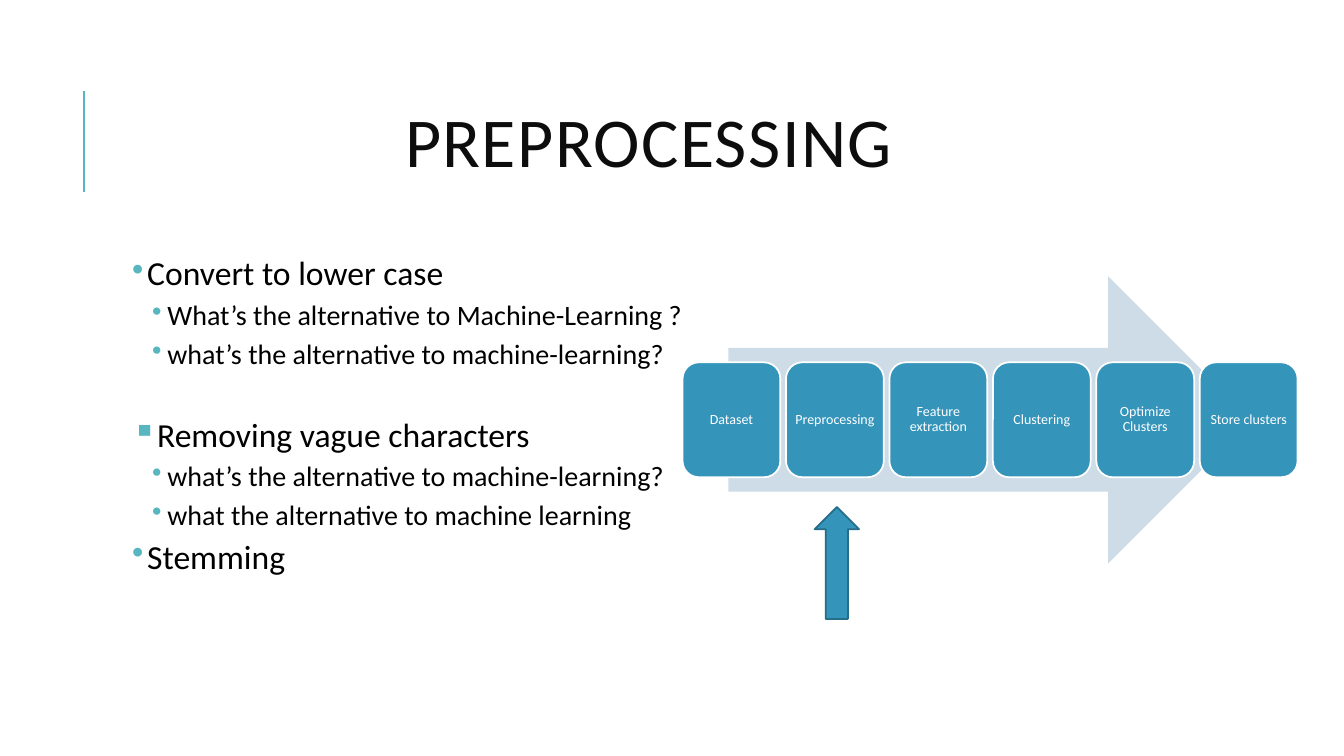
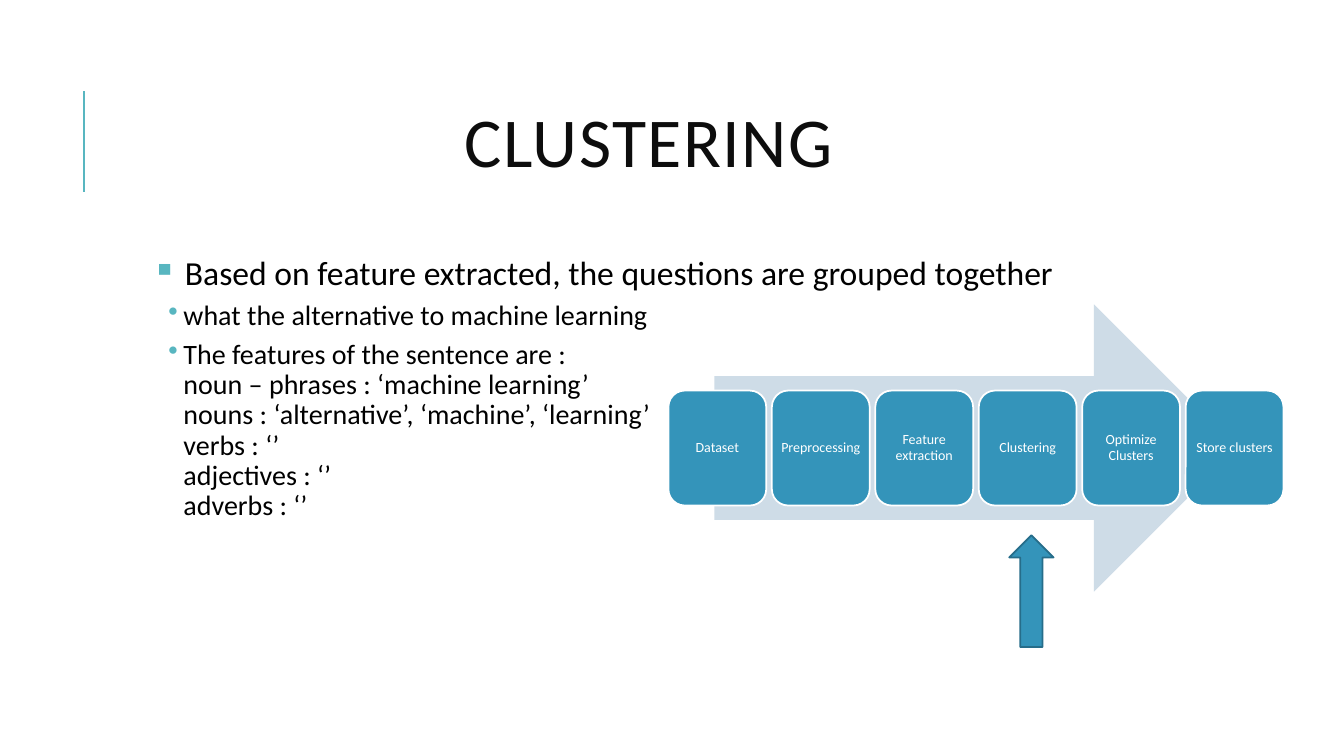
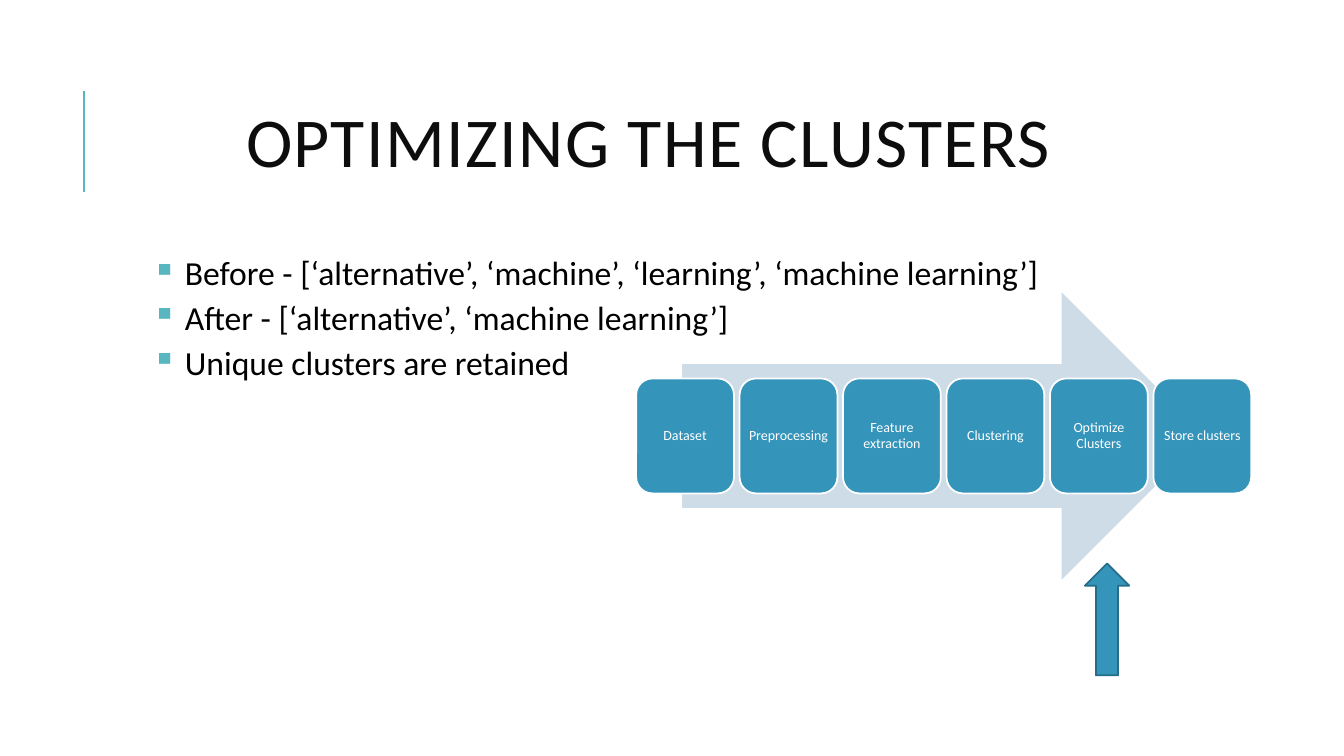
from lxml import etree
from pptx import Presentation
from pptx.dml.color import RGBColor
from pptx.enum.shapes import MSO_CONNECTOR, MSO_SHAPE
from pptx.enum.text import MSO_ANCHOR, PP_ALIGN
from pptx.oxml.ns import qn
from pptx.util import Inches, Pt

STRAIGHT = MSO_CONNECTOR.STRAIGHT
RIGHT_ARROW = MSO_SHAPE.RIGHT_ARROW
UP_ARROW = MSO_SHAPE.UP_ARROW
ROUNDED = MSO_SHAPE.ROUNDED_RECTANGLE
MIDDLE = MSO_ANCHOR.MIDDLE
TOP = MSO_ANCHOR.TOP
CENTER = PP_ALIGN.CENTER

TEAL = RGBColor(0x58, 0xB6, 0xC0)
BLUE = RGBColor(0x34, 0x94, 0xBA)
DARK_BLUE = RGBColor(0x26, 0x6D, 0x8A)
PALE_BLUE = RGBColor(0xCE, 0xDC, 0xE7)
INK = RGBColor(0x0D, 0x0D, 0x0D)
BLACK = RGBColor(0, 0, 0)
WHITE = RGBColor(0xFF, 0xFF, 0xFF)

FONT = "Calibri"
DOT = "•"
SQUARE = "▪"
LEVEL_INDENTS = {1: 0.29, 2: 0.49, 3: 0.65}
HANGING = 0.15

STEPS = ["Dataset", "Preprocessing", "Feature extraction", "Clustering",
         "Optimize Clusters", "Store clusters"]
PROCESS_WIDTH = 6.1
ARROW_WIDTH, ARROW_HEIGHT = 5.19, 2.85
STEP_WIDTH, STEP_HEIGHT = 0.97, 1.14
STEP_PITCH = (PROCESS_WIDTH - STEP_WIDTH) / (len(STEPS) - 1)

SLIDES = [
    {
        "title": "PREPROCESSING",
        "bullets": [
            (1, DOT, 24, 2, "Convert to lower case"),
            (2, DOT, 20, 2, "What’s the alternative to Machine-Learning ?"),
            (2, DOT, 20, 2, "what’s the alternative to machine-learning?"),
            (1, SQUARE, 24, 30, "Removing vague characters"),
            (2, DOT, 20, 2, "what’s the alternative to machine-learning?"),
            (2, DOT, 20, 2, "what the alternative to machine learning"),
            (1, DOT, 24, 2, "Stemming"),
        ],
        "process": (6.77, 2.74),
        "pointer": (8.08, 5.03),
    },
    {
        "title": "CLUSTERING",
        "bullets": [
            (2, SQUARE, 24, 2, " Based on feature extracted, the questions are grouped together"),
            (3, DOT, 20, 2, "what the alternative to machine learning"),
            (3, DOT, 20, 2, "The features of the sentence are :\n"
                            "noun – phrases : ‘machine learning’\n"
                            "nouns : ‘alternative’, ‘machine’, ‘learning’\n"
                            "verbs : ‘’\nadjectives : ‘’\nadverbs : ‘’"),
        ],
        "process": (6.63, 3.02),
        "pointer": (10.01, 5.31),
    },
    {
        "title": "OPTIMIZING THE CLUSTERS",
        "bullets": [
            (2, SQUARE, 24, 2, " Before - [‘alternative’, ‘machine’, ‘learning’, ‘machine learning’]"),
            (2, SQUARE, 24, 2, " After - [‘alternative’, ‘machine learning’]"),
            (2, SQUARE, 24, 2, " Unique clusters are retained"),
        ],
        "process": (6.31, 2.9),
        "pointer": (10.76, 5.59),
    },
]


def add_run(paragraph, text, size, color):
    run = paragraph.add_run()
    run.text = text
    run.font.name = FONT
    run.font.size = Pt(size)
    run.font.color.rgb = color
    return run


def set_frame(frame, anchor, inset):
    frame.word_wrap = True
    frame.vertical_anchor = anchor
    frame.margin_left = frame.margin_right = Inches(inset)
    frame.margin_top = frame.margin_bottom = Inches(inset)


def add_text_frame(slide, left, top, width, height, anchor):
    box = slide.shapes.add_textbox(Inches(left), Inches(top), Inches(width), Inches(height))
    set_frame(box.text_frame, anchor, 0.05)
    return box.text_frame


def add_shape(shapes, kind, left, top, width, height, fill, line=None):
    shape = shapes.add_shape(kind, Inches(left), Inches(top), Inches(width), Inches(height))
    shape.shadow.inherit = False
    shape.fill.solid()
    shape.fill.fore_color.rgb = fill
    if line is None:
        shape.line.fill.background()
    else:
        shape.line.color.rgb = line
        shape.line.width = Pt(1.25)
    return shape


def add_title(slide, text):
    bar = slide.shapes.add_connector(STRAIGHT, Inches(0.83), Inches(1.9), Inches(0.83), Inches(0.9))
    bar.line.color.rgb = TEAL
    bar.line.width = Pt(1.5)
    etree.SubElement(bar.line._get_or_add_ln().getparent(), qn("a:effectLst"))

    frame = add_text_frame(slide, 1.12, 0.64, 10.63, 1.64, MIDDLE)
    paragraph = frame.paragraphs[0]
    paragraph.alignment = CENTER
    paragraph.line_spacing = 0.8
    run = add_run(paragraph, text, 50, INK)
    run.font._element.set("spc", "100")


def set_bullet(paragraph, level, symbol):
    properties = paragraph._p.get_or_add_pPr()
    properties.set("marL", str(Inches(LEVEL_INDENTS[level])))
    properties.set("indent", str(-Inches(HANGING)))
    color = etree.SubElement(properties, qn("a:buClr"))
    etree.SubElement(color, qn("a:srgbClr"), val=str(TEAL))
    etree.SubElement(properties, qn("a:buChar"), char=symbol)


def add_bullets(slide, bullets):
    frame = add_text_frame(slide, 1.12, 2.5, 10.63, 4.4, TOP)
    for index, (level, symbol, size, space_before, text) in enumerate(bullets):
        paragraph = frame.add_paragraph() if index else frame.paragraphs[0]
        paragraph.level = level - 1
        paragraph.line_spacing = 0.9
        paragraph.space_before = Pt(space_before)
        paragraph.space_after = Pt(4)
        set_bullet(paragraph, level, symbol)
        for line_index, line in enumerate(text.split("\n")):
            if line_index:
                paragraph.add_line_break()
            add_run(paragraph, line, size, BLACK)


def add_process(slide, left, top):
    shapes = slide.shapes.add_group_shape().shapes
    arrow_left = left + (PROCESS_WIDTH - ARROW_WIDTH) / 2
    add_shape(shapes, RIGHT_ARROW, arrow_left, top, ARROW_WIDTH, ARROW_HEIGHT, PALE_BLUE)
    step_top = top + (ARROW_HEIGHT - STEP_HEIGHT) / 2
    for index, label in enumerate(STEPS):
        step = add_shape(shapes, ROUNDED, left + index * STEP_PITCH, step_top,
                         STEP_WIDTH, STEP_HEIGHT, BLUE, WHITE)
        set_frame(step.text_frame, MIDDLE, 0.04)
        paragraph = step.text_frame.paragraphs[0]
        paragraph.alignment = CENTER
        paragraph.line_spacing = 0.9
        add_run(paragraph, label, 10, WHITE)


def add_pointer(slide, left, top):
    add_shape(slide.shapes, UP_ARROW, left, top, 0.44, 1.11, BLUE, DARK_BLUE)


def main():
    presentation = Presentation()
    presentation.slide_width = Inches(13.33)
    presentation.slide_height = Inches(7.5)
    for content in SLIDES:
        slide = presentation.slides.add_slide(presentation.slide_layouts[6])
        add_title(slide, content["title"])
        add_bullets(slide, content["bullets"])
        add_process(slide, *content["process"])
        add_pointer(slide, *content["pointer"])
    presentation.save("out.pptx")


if __name__ == "__main__":
    main()
